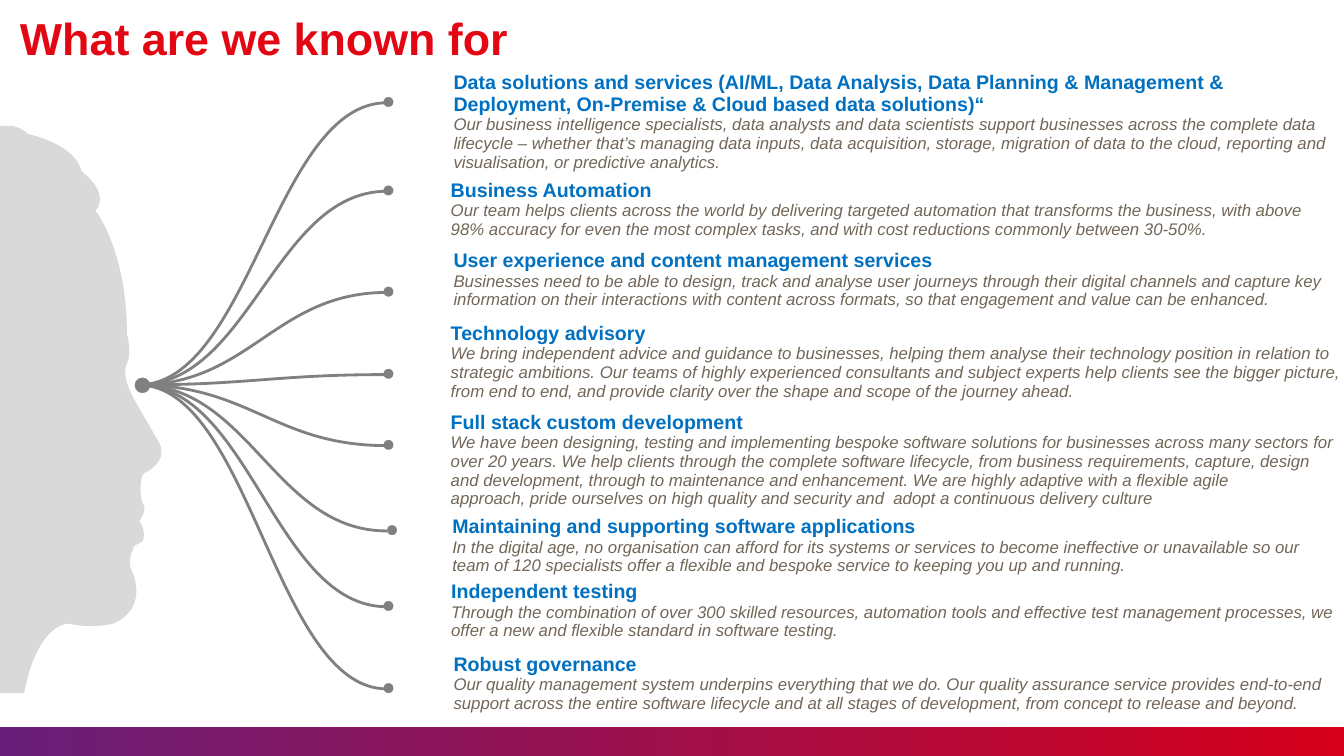
from dataclasses import dataclass

from lxml import etree
from pptx import Presentation
from pptx.dml.color import RGBColor
from pptx.enum.shapes import MSO_SHAPE as Preset
from pptx.enum.text import MSO_ANCHOR as Anchor, MSO_AUTO_SIZE as AutoSize, PP_ALIGN as Align
from pptx.oxml.ns import qn
from pptx.util import Cm, Pt

COLOURS = {
    "title": "E30613",
    "heading": "0070C0",
    "body": "726658",
    "branch": "808080",
    "head": "D9D9D9",
    "band_start": "691F79",
    "band_end": "D6001C",
}
FONT = "Arial"
NO_BREAK_SPACE = chr(160)
SLIDE_WIDTH, SLIDE_HEIGHT = 33.87, 19.05
BAND_TOP = 18.32

Point = tuple[float, float]

BRANCH_START: Point = (3.48, 9.7)
BRANCH_END_X = 9.75
BRANCH_DROP = 0.02
HUB: Point = (3.59, 9.71)
HUB_SIZE, DOT_SIZE = 0.38, 0.24


@dataclass
class Strength:
    dot_y: float
    left: float
    top: float
    height: float
    heading: str
    body: str
    width: float = 22.43
    dot_x: float = 9.79


@dataclass
class Bend:
    """A cubic curve to end; without a departure it leaves straight for the approach."""
    approach: Point
    end: Point
    departure: Point | None = None


STRENGTHS = [
    Strength(2.57, 11.43, 1.82, 1.6,
             "Data solutions and services (AI/ML, Data Analysis, Data Planning & Management & "
             "Deployment, On-Premise & Cloud based data solutions)“",
             "Our business intelligence specialists, data analysts and data scientists support "
             "businesses across the complete data lifecycle – whether that’s managing data inputs, "
             "data acquisition, storage, migration of data to the cloud, reporting and "
             "visualisation, or predictive analytics."),
    Strength(4.8, 11.36, 4.54, 1.6, "Business Automation",
             "Our team helps clients across the world by delivering targeted automation that "
             "transforms the business, with above 98% accuracy for even the most complex tasks, "
             "and with cost reductions commonly between 30-50%.", width=22.35),
    Strength(7.35, 11.43, 6.31, 1.73, "User experience and content management services",
             "Businesses need to be able to design, track and analyse user journeys through their "
             "digital channels and capture key\n"
             "information on their interactions with content across formats, so that engagement "
             "and value can be enhanced."),
    Strength(9.42, 11.36, 8.14, 1.42, "Technology advisory",
             "We bring independent advice and guidance to businesses, helping them analyse their "
             "technology position in relation to strategic ambitions. Our teams of highly "
             "experienced consultants and subject experts help clients see the bigger picture, "
             "from end to end, and provide clarity over the shape and scope of the journey ahead.",
             width=22.5),
    Strength(11.21, 11.36, 10.38, 2.08, "Full stack custom development",
             "We have been designing, testing and implementing bespoke software solutions for "
             "businesses across many sectors for over 20 years. We help clients through the "
             "complete software lifecycle, from business requirements, capture, design and "
             "development, through to maintenance and enhancement. We are highly adaptive with a "
             f"flexible agile approach,{NO_BREAK_SPACE}pride ourselves on high quality and "
             "security and  adopt a continuous delivery culture"),
    Strength(13.36, 11.4, 13.01, 1.42, "Maintaining and supporting software applications",
             "In the digital age, no organisation can afford for its systems or services to become "
             "ineffective or unavailable so our team of 120 specialists offer a flexible and "
             "bespoke service to keeping you up and running.", dot_x=9.88),
    Strength(15.27, 11.37, 14.65, 1.5, "Independent testing",
             "Through the combination of over 300 skilled resources, automation tools and "
             "effective test management processes, we offer a new and flexible standard in "
             "software testing."),
    Strength(17.34, 11.43, 16.48, 1.5, "Robust governance",
             "Our quality management system underpins everything that we do. Our quality assurance "
             "service provides end-to-end support across the entire software lifecycle and at all "
             "stages of development, from concept to release and beyond."),
]

HEAD_START: Point = (0.3, 3.17)
HEAD_BENDS = [
    Bend((0.61, 3.28), (0.71, 3.38), departure=(0.46, 3.2)),
    Bend((1.88, 3.61), (2.06, 4.32)),
    Bend((2.79, 4.85), (2.41, 5.31)),
    Bend((3.2, 6.32), (3.2, 8.41)),
    Bend((3.33, 8.89), (3.2, 9.17)),
    Bend((3.02, 9.4), (3.38, 10.06)),
    Bend((3.96, 11.07), (3.96, 11.07)),
    Bend((4.37, 11.56), (3.61, 11.94)),
    Bend((3.48, 12.14), (3.58, 12.67)),
    Bend((3.76, 12.78), (3.51, 13.13)),
    Bend((3.68, 13.34), (3.61, 13.61)),
    Bend((3.56, 13.69), (3.4, 13.74)),
    Bend((3.17, 14.12), (3.33, 14.4)),
    Bend((3.78, 15.32), (2.84, 15.72)),
    Bend((2.26, 15.85), (1.78, 15.72)),
    Bend((1.27, 15.62), (0.86, 16.59)),
    Bend((0.71, 16.92), (0.61, 17.46)),
]
HEAD_CORNERS: list[Point] = [(0, 17.46), (0, 3.17)]


def colour(name: str) -> RGBColor:
    return RGBColor.from_string(COLOURS[name])


def add_outline(slide, start: Point, bends: list[Bend], corners: list[Point], close: bool):
    """Draw the bends as cubic curves, followed by straight sides to the corners."""
    builder = slide.shapes.build_freeform(Cm(start[0]), Cm(start[1]))
    stops = [bend.end for bend in bends] + corners
    builder.add_line_segments([(Cm(x), Cm(y)) for x, y in stops], close=close)
    shape = builder.convert_to_shape()
    shape.shadow.inherit = False
    segments = list(shape.element.iter(qn("a:lnTo")))
    previous = start
    for segment, bend in zip(segments, bends):
        segment_points = (bend.departure or previous, bend.approach, bend.end)
        curve = etree.Element(qn("a:cubicBezTo"))
        for x, y in segment_points:
            etree.SubElement(curve, qn("a:pt"),
                             x=str(Cm(x) - shape.left), y=str(Cm(y) - shape.top))
        segment.getparent().replace(segment, curve)
        previous = bend.end
    return shape


def add_dot(slide, x: float, y: float, size: float) -> None:
    shape = slide.shapes.add_shape(
        Preset.OVAL, Cm(x - size / 2), Cm(y - size / 2), Cm(size), Cm(size))
    shape.shadow.inherit = False
    shape.fill.solid()
    shape.fill.fore_color.rgb = colour("branch")
    shape.line.color.rgb = colour("branch")
    shape.line.width = Pt(0.25)


def add_branch(slide, end_y: float) -> None:
    bend = Bend((6.93, end_y), (BRANCH_END_X, end_y), departure=(6.3, BRANCH_START[1]))
    shape = add_outline(slide, BRANCH_START, [bend], [], close=False)
    shape.fill.background()
    shape.line.color.rgb = colour("branch")
    shape.line.width = Pt(2)


def add_head(slide) -> None:
    shape = add_outline(slide, HEAD_START, HEAD_BENDS, HEAD_CORNERS, close=True)
    shape.fill.solid()
    shape.fill.fore_color.rgb = colour("head")
    shape.line.fill.background()


def add_band(slide) -> None:
    shape = slide.shapes.add_shape(
        Preset.RECTANGLE, 0, Cm(BAND_TOP), Cm(SLIDE_WIDTH), Cm(SLIDE_HEIGHT - BAND_TOP))
    shape.shadow.inherit = False
    shape.line.fill.background()
    shape.fill.gradient()
    shape.fill.gradient_angle = 0
    for stop, name, position in zip(shape.fill.gradient_stops, ("band_start", "band_end"), (0, 1)):
        stop.color.rgb = colour(name)
        stop.position = position


def write(paragraph, text: str, *, size: float, color: str, bold: bool = False,
          italic: bool = False, spacing: float = 0.93) -> None:
    paragraph.alignment = Align.LEFT
    paragraph.line_spacing = spacing
    run = paragraph.add_run()
    run.text = text
    font = run.font
    font.name, font.size, font.bold, font.italic = FONT, Pt(size), bold, italic
    font.color.rgb = colour(color)


def add_title(slide, text: str) -> None:
    title = slide.shapes.title
    title.left, title.top, title.width, title.height = Cm(0.25), Cm(0.26), Cm(29.21), Cm(1.5)
    frame = title.text_frame
    frame.auto_size = AutoSize.NONE
    frame.vertical_anchor = Anchor.BOTTOM
    write(frame.paragraphs[0], text, size=32, color="title", bold=True, spacing=0.9)


def add_strength_text(slide, strength: Strength) -> None:
    box = slide.shapes.add_textbox(
        Cm(strength.left), Cm(strength.top), Cm(strength.width), Cm(strength.height))
    frame = box.text_frame
    frame.word_wrap = True
    frame.margin_left = frame.margin_top = frame.margin_right = frame.margin_bottom = 0
    write(frame.paragraphs[0], strength.heading, size=14, color="heading", bold=True)
    for line in strength.body.split("\n"):
        write(frame.add_paragraph(), line, size=12, color="body", italic=True)


def main() -> None:
    presentation = Presentation()
    presentation.slide_width, presentation.slide_height = Cm(SLIDE_WIDTH), Cm(SLIDE_HEIGHT)
    slide = presentation.slides.add_slide(presentation.slide_layouts[5])
    add_band(slide)
    add_title(slide, "What are we known for")
    for strength in STRENGTHS:
        add_branch(slide, strength.dot_y + BRANCH_DROP)
        add_dot(slide, strength.dot_x, strength.dot_y, DOT_SIZE)
    add_dot(slide, *HUB, HUB_SIZE)
    add_head(slide)
    slide.shapes._spTree.insert(4, slide.shapes[-1].element)
    for strength in STRENGTHS:
        add_strength_text(slide, strength)
    presentation.save("out.pptx")


if __name__ == "__main__":
    main()
